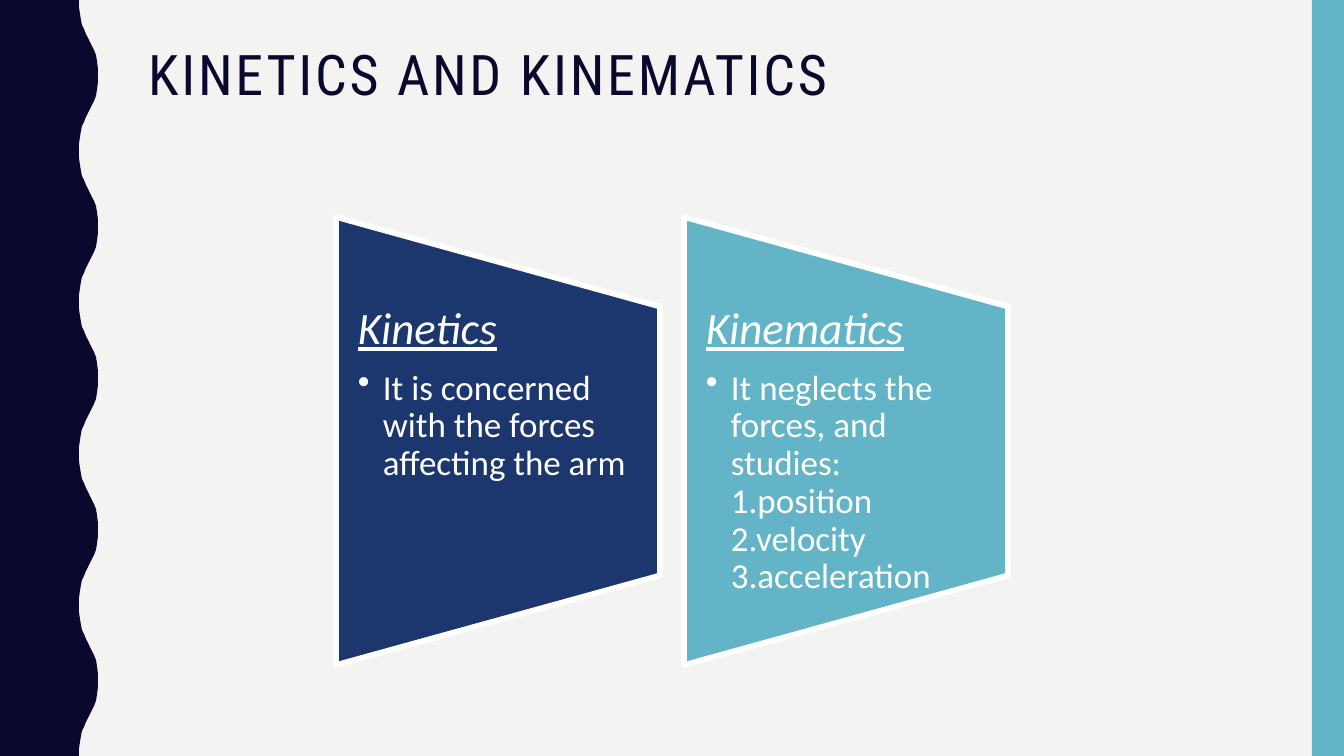
from lxml import etree
from pptx import Presentation
from pptx.dml.color import RGBColor
from pptx.enum.shapes import MSO_SHAPE
from pptx.enum.text import MSO_ANCHOR, MSO_AUTO_SIZE, PP_ALIGN
from pptx.oxml.ns import qn
from pptx.util import Pt

RECTANGLE = MSO_SHAPE.RECTANGLE
TRAPEZOID = MSO_SHAPE.FLOWCHART_MANUAL_OPERATION
TOP = MSO_ANCHOR.TOP
LEFT = PP_ALIGN.LEFT
NO_AUTOFIT = MSO_AUTO_SIZE.NONE

PAPER = RGBColor(0xF3, 0xF3, 0xF2)
INK = RGBColor(0x0B, 0x08, 0x2E)
NAVY = RGBColor(0x1B, 0x37, 0x6E)
TEAL = RGBColor(0x62, 0xB4, 0xC6)
WHITE = RGBColor(0xFF, 0xFF, 0xFF)

EMU_PER_PX = 914400 / 100.8
PAGE_WIDTH, PAGE_HEIGHT = 1344, 756

WAVES = 5
# Edge of half a wave as (x, y), from trough to crest
HALF_WAVE = [(79, 0), (79, 7), (80, 14), (81, 20), (82, 25), (84, 29), (86, 34), (88, 38),
             (90, 42), (92, 46), (94, 50), (96, 55), (97, 61), (98, 69), (98, 76)]

PANEL_LEFT, PANEL_TOP, PANEL_STEP = 336, 217, 348
PANEL_WIDTH, PANEL_HEIGHT = 324, 448
TEXT_TOP, TEXT_HEIGHT = 306, 269
PANELS = [
    (NAVY, "Kinetics", "It is concerned with the forces affecting the arm"),
    (TEAL, "Kinematics",
     "It neglects the forces, and studies:\v1.position\v2.velocity\v3.acceleration"),
]


def px(length):
    return round(length * EMU_PER_PX)


def write(para, text, *, font, size, color, italic=False, underline=False,
          tracking=0, after=0, bullet_indent=0):
    """Fill a paragraph; tracking and after are in points, bullet_indent in px."""
    para.text = text
    para.alignment = LEFT
    para.line_spacing = 0.9
    para.space_before = Pt(0)
    para.space_after = Pt(after)
    if bullet_indent:
        properties = para._p.get_or_add_pPr()
        properties.set("marL", str(px(bullet_indent)))
        properties.set("indent", str(-px(bullet_indent)))
        etree.SubElement(properties, qn("a:buChar")).set("char", "•")
    for span in para.runs:
        span.font.name = font
        span.font.size = Pt(size)
        span.font.color.rgb = color
        span.font.italic = italic
        span.font.underline = underline
        if tracking:
            span._r.get_or_add_rPr().set("spc", str(tracking * 100))


class SlideBuilder:
    heading_font = "Roboto Condensed"
    body_font = "Calibri"

    def __init__(self, page):
        self.page = page
        page.background.fill.solid()
        page.background.fill.fore_color.rgb = PAPER

    def paint(self, shape, fill, line=None):
        shape.shadow.inherit = False
        shape.fill.solid()
        shape.fill.fore_color.rgb = fill
        if line is None:
            shape.line.fill.background()
        else:
            shape.line.color.rgb = line
            shape.line.width = Pt(4)

    def shape(self, kind, left, top, width, height, fill, line=None):
        shape = self.page.shapes.add_shape(kind, px(left), px(top), px(width), px(height))
        self.paint(shape, fill, line)
        return shape

    def wavy_band(self, fill):
        wave_height = PAGE_HEIGHT / WAVES
        crest_to_trough = [(x, wave_height - y) for x, y in reversed(HALF_WAVE)]
        edge = [(x, round(y + wave * wave_height))
                for wave in range(WAVES) for x, y in HALF_WAVE + crest_to_trough]
        outline = self.page.shapes.build_freeform(0, 0, scale=EMU_PER_PX)
        outline.add_line_segments(edge + [(0, PAGE_HEIGHT)], close=True)
        self.paint(outline.convert_to_shape(), fill)

    def title(self, text, left, top, width, height):
        title = self.page.shapes.title
        title.left, title.top = px(left), px(top)
        title.width, title.height = px(width), px(height)
        frame = title.text_frame
        frame.auto_size = NO_AUTOFIT
        frame.vertical_anchor = TOP
        write(frame.paragraphs[0], text, font=self.heading_font, size=40,
              color=INK, tracking=2)

    def panel(self, left, fill, heading, point):
        """Draw a trapezoid lying on its side with a heading and one bullet."""
        turn_shift = (PANEL_HEIGHT - PANEL_WIDTH) // 2
        trapezoid = self.shape(TRAPEZOID, left - turn_shift, PANEL_TOP + turn_shift,
                               PANEL_HEIGHT, PANEL_WIDTH, fill, WHITE)
        trapezoid.rotation = 270

        box = self.page.shapes.add_textbox(px(left), px(TEXT_TOP),
                                           px(PANEL_WIDTH), px(TEXT_HEIGHT))
        frame = box.text_frame
        frame.word_wrap = True
        frame.vertical_anchor = TOP
        frame.margin_left = frame.margin_right = px(22)
        frame.margin_top = frame.margin_bottom = 0
        write(frame.paragraphs[0], heading, font=self.body_font, size=32, color=WHITE,
              italic=True, underline=True, after=11)
        write(frame.add_paragraph(), point, font=self.body_font, size=25, color=WHITE,
              after=4, bullet_indent=25)


def main():
    deck = Presentation()
    deck.slide_width, deck.slide_height = px(PAGE_WIDTH), px(PAGE_HEIGHT)
    title_only = deck.slide_layouts[5]
    builder = SlideBuilder(deck.slides.add_slide(title_only))
    builder.wavy_band(INK)
    builder.shape(RECTANGLE, 1312, 0, 32, PAGE_HEIGHT, TEAL)
    builder.title("KINETICS AND KINEMATICS", 138, 42, 1122, 164)
    for index, (fill, heading, point) in enumerate(PANELS):
        builder.panel(PANEL_LEFT + index * PANEL_STEP, fill, heading, point)
    deck.save("out.pptx")


if __name__ == "__main__":
    main()
